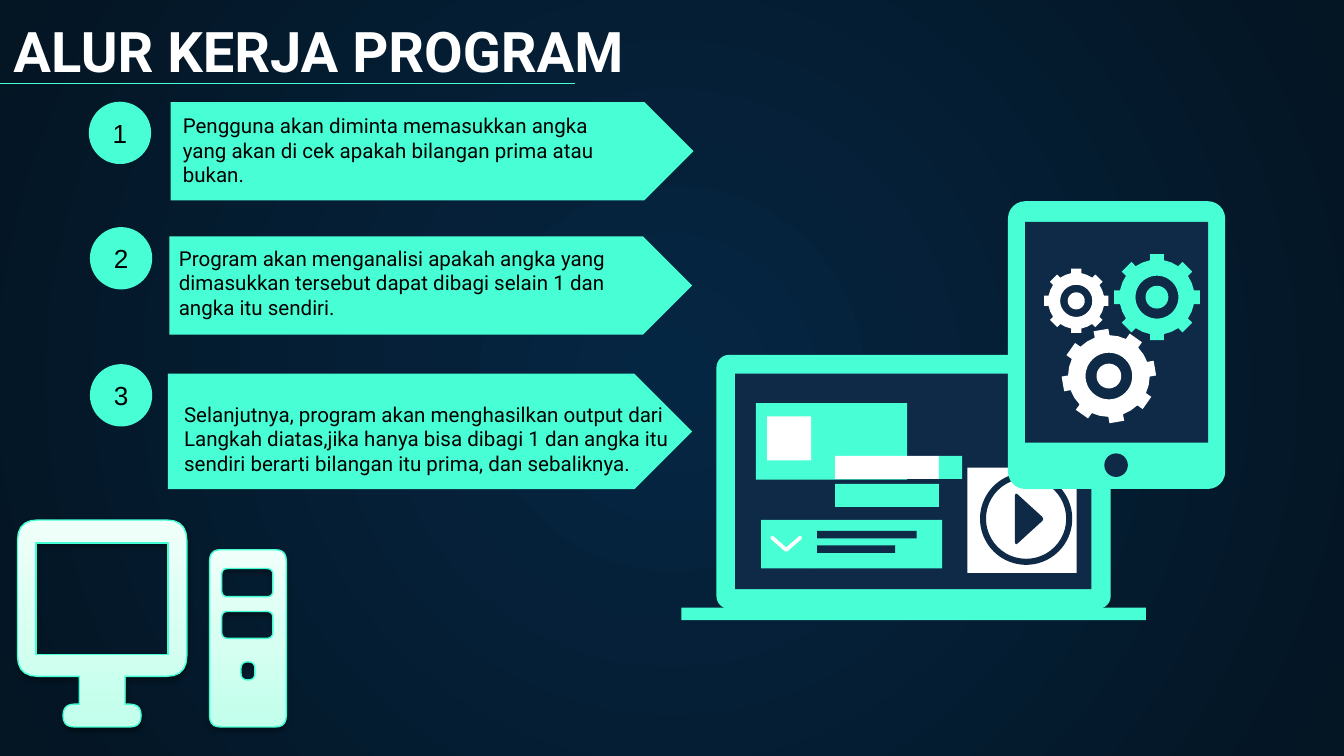
from dataclasses import dataclass
from math import cos, pi, sin

from lxml import etree
from pptx import Presentation
from pptx.dml.color import RGBColor
from pptx.enum.shapes import MSO_CONNECTOR, MSO_SHAPE
from pptx.enum.text import MSO_ANCHOR, MSO_AUTO_SIZE, PP_ALIGN
from pptx.oxml.ns import qn
from pptx.util import Pt

ARROW, DISC, RECT = MSO_SHAPE.PENTAGON, MSO_SHAPE.OVAL, MSO_SHAPE.RECTANGLE
ROUND, RING = MSO_SHAPE.ROUNDED_RECTANGLE, MSO_SHAPE.DONUT
STRAIGHT = MSO_CONNECTOR.STRAIGHT
LOW, MID = MSO_ANCHOR.BOTTOM, MSO_ANCHOR.MIDDLE
FIXED = MSO_AUTO_SIZE.NONE
LEFT, CENTER = PP_ALIGN.LEFT, PP_ALIGN.CENTER


@dataclass
class Theme:
    mint: str = "48FFD5"
    navy: str = "0E2A47"
    white: str = "FFFFFF"
    black: str = "000000"
    edge: str = "42FED3"
    glow: tuple = ("052643", "041523")
    shine: tuple = ("C1FFEB", "EFFFF9")
    font: str = "Roboto"
    digit: str = "Arial"
    head: int = 30
    body: int = 11
    count: int = 14


def color(code):
    return RGBColor.from_string(code)


def blend(fill, codes):
    fill.gradient()
    for stop, code in zip(fill.gradient_stops, codes):
        stop.color.rgb = color(code)


def write(shape, text, font, size, tint, bold=False, align=LEFT, anchor=LOW):
    frame = shape.text_frame
    frame.word_wrap, frame.auto_size = True, FIXED
    frame.vertical_anchor = anchor
    frame.margin_left = frame.margin_right = Pt(7.2)
    frame.margin_top = frame.margin_bottom = Pt(7.2)
    para = frame.paragraphs[0]
    para.alignment, para.space_before = align, Pt(0)
    props = para._p.get_or_add_pPr()
    props.set("marL", "0")
    props.set("indent", "0")
    etree.SubElement(props, qn("a:buNone"))
    run = para.add_run()
    run.text = text
    run.font.name, run.font.size, run.font.bold = font, Pt(size), bold
    run.font.color.rgb = color(tint)


def curve(corners):
    points = []
    for i, (x, y, r) in enumerate(corners):
        if not r:
            points.append((x, y))
            continue
        ends = []
        for px, py, _ in (corners[i - 1], corners[(i + 1) % len(corners)]):
            span = abs(px - x) + abs(py - y)
            ends.append((x + (px - x) * r / span, y + (py - y) * r / span))
        (ax, ay), (bx, by) = ends
        for t in (0, 0.2, 0.4, 0.6, 0.8, 1):
            u = 1 - t
            points.append((u * u * ax + 2 * u * t * x + t * t * bx,
                           u * u * ay + 2 * u * t * y + t * t * by))
    return points


def panel(left, top, right, base, r=0):
    return curve([(left, top, r), (right, top, r), (right, base, r), (left, base, r)])


def circle(x, y, r, steps=48):
    return [(x + r * cos(2 * pi * k / steps), y + r * sin(2 * pi * k / steps))
            for k in range(steps)]


def cog(x, y, r, tilt=0):
    points = []
    tooth = ((-0.16, 0.86), (-0.16, 1), (0.16, 1), (0.16, 0.86), (0.335, 0.808))
    for k in range(8):
        a = k * pi / 4 + tilt
        for side, out in tooth:
            points.append((x + r * (out * sin(a) + side * cos(a)),
                           y + r * (side * sin(a) - out * cos(a))))
    return points


class Deck:
    """Holds the theme and the current slide, and draws each kind of element."""

    def __init__(self, theme):
        self.theme = theme
        self.show = Presentation()
        self.show.slide_width, self.show.slide_height = Pt(720), Pt(405)
        self.slide = self.show.slides.add_slide(self.show.slide_layouts[4])

    def back(self):
        blend(self.slide.background.fill, self.theme.glow)
        grad = self.slide._element.find(".//" + qn("a:gradFill"))
        grad.remove(grad.find(qn("a:lin")))
        way = etree.SubElement(grad, qn("a:path"), path="circle")
        etree.SubElement(way, qn("a:fillToRect"), l="50000", t="50000", r="50000", b="50000")

    def holder(self, index, box, text, **style):
        item = self.slide.placeholders[index]
        item.left, item.top, item.width, item.height = map(Pt, box)
        write(item, text, self.theme.font, **style)
        self.slide.shapes._spTree.append(item._element)

    def shape(self, kind, box, tint, adjust=None):
        item = self.slide.shapes.add_shape(kind, *map(Pt, box))
        if adjust is not None:
            item.adjustments[0] = adjust
        item.shadow.inherit = False
        item.fill.solid()
        item.fill.fore_color.rgb = color(tint)
        item.line.fill.background()
        return item

    def free(self, *loops, tint=None, closed=True):
        pen = None
        for loop in loops:
            spots = [(Pt(x), Pt(y)) for x, y in loop]
            if pen is None:
                pen = self.slide.shapes.build_freeform(*spots[0])
            else:
                pen.move_to(*spots[0])
            pen.add_line_segments(spots[1:], close=closed)
        item = pen.convert_to_shape()
        item.shadow.inherit = False
        item.line.fill.background()
        if tint:
            item.fill.solid()
            item.fill.fore_color.rgb = color(tint)
        return item

    def stroke(self, item, tint, width):
        item.line.color.rgb = color(tint)
        item.line.width = Pt(width)

    def rule(self, start, end):
        item = self.slide.shapes.add_connector(STRAIGHT, *map(Pt, start + end))
        self.stroke(item, self.theme.mint, 0.75)
        etree.SubElement(item._element.spPr, qn("a:effectLst"))

    def gloss(self, *loops):
        item = self.free(*loops)
        blend(item.fill, self.theme.shine)
        item.fill.gradient_angle = 90
        self.stroke(item, self.theme.edge, 0.75)
        effect = item._element.spPr.find(qn("a:effectLst"))
        shade = etree.SubElement(effect, qn("a:outerShdw"), blurRad=str(Pt(3.1)),
                                 dist=str(Pt(1.6)), dir="5400000", rotWithShape="0")
        tone = etree.SubElement(shade, qn("a:srgbClr"), val=self.theme.black)
        etree.SubElement(tone, qn("a:alpha"), val="38000")

    def check(self, points):
        item = self.free(points, closed=False)
        item.fill.background()
        self.stroke(item, self.theme.white, 2)
        item.line._get_or_add_ln().set("cap", "rnd")

    def gear(self, x, y, r, tint, tilt=0):
        self.free(cog(x, y, r, tilt), circle(x, y, r * 0.5), circle(x, y, r * 0.265), tint=tint)


STEPS = [
    ("Pengguna akan diminta memasukkan angka yang akan di cek apakah bilangan prima atau bukan.",
     (91.4, 54.7, 280.1, 52.6), (90.7, 41.8, 244.8, 65.5), (47.6, 54.5)),
    ("Program akan menganalisi apakah angka yang dimasukkan tersebut dapat dibagi selain 1 dan "
     "angka itu sendiri.",
     (90.7, 126.7, 280.1, 52.6), (88.6, 131, 271.4, 47.5), (48.2, 121.7)),
    ("Selanjutnya, program akan menghasilkan output dari Langkah diatas,jika hanya bisa dibagi 1 "
     "dan angka itu sendiri berarti bilangan itu prima, dan sebaliknya.",
     (90, 200.2, 280.8, 61.9), (91.4, 190.8, 277.2, 71.3), (48.2, 195.1)),
]


def main():
    look = Theme()
    mint, navy, white = look.mint, look.navy, look.white
    deck = Deck(look)
    deck.back()
    deck.holder(0, (0, 4.3, 617, 47.5), "ALUR KERJA PROGRAM", size=look.head, tint=white, bold=True)
    deck.rule((0, 44.6), (308.2, 44.6))
    for number, (text, arrow, box, spot) in enumerate(STEPS, 1):
        deck.shape(ARROW, arrow, mint, 0.5)
        deck.holder(number, box, text, size=look.body, tint=look.black)
        badge = deck.shape(DISC, spot + (33.4, 33.4), mint)
        write(badge, str(number), look.digit, look.count, look.black, align=CENTER, anchor=MID)
    spare = deck.slide.placeholders[4]._element
    spare.getparent().remove(spare)

    screen = [(9.4, 278.6, 11), (100.1, 278.6, 11), (100.1, 362.4, 11), (67, 362.4, 0),
              (67, 377.3, 0), (75.6, 377.3, 6), (75.6, 389.5, 6), (33.8, 389.5, 6),
              (33.8, 377.3, 6), (42.5, 377.3, 0), (42.5, 362.4, 0), (9.4, 362.4, 11)]
    deck.gloss(curve(screen), panel(19.4, 290.9, 90, 350.6))
    deck.gloss(panel(112.3, 294.5, 153.4, 389.5, 6), panel(118.8, 304.6, 146.2, 319.7, 3.3),
               panel(118.8, 327.6, 146.2, 342, 3.3), panel(129.1, 354.6, 136.6, 364.3, 3.7))

    deck.shape(ROUND, (383.8, 190.1, 211.2, 136.1), mint, 0.05)
    for box, tint in [
        ((393.8, 200.2, 191, 115.4), navy), ((365, 325.6, 249, 6.7), mint),
        ((405, 216, 81, 41), mint), ((411, 223, 23.6, 23.6), white),
        ((433.4, 278.6, 71.3, 25.9), mint), ((437.8, 284.4, 53.3, 4), navy),
        ((437.8, 292.2, 41.8, 4), navy), ((407.8, 278.6, 25.6, 25.9), mint),
        ((447.4, 259.2, 55.6, 12.4), mint), ((447.4, 244.2, 55.6, 12.4), white),
        ((503, 244.2, 12.4, 12.4), mint), ((518.2, 250.6, 58.6, 56.4), white),
    ]:
        deck.shape(RECT, box, tint)
    deck.check([(413.6, 288), (421.2, 294.6), (428.8, 288)])
    deck.shape(RING, (525, 253.2, 49.4, 49.4), navy, 0.065)
    deck.free(curve([(543.7, 263.5, 3), (559.6, 278, 3), (543.7, 292.5, 3)]), tint=navy)

    deck.shape(ROUND, (540, 107.8, 116.4, 154.2), mint, 0.08)
    deck.shape(RECT, (549.2, 118.8, 98, 118.4), navy)
    deck.shape(DISC, (591.6, 242.9, 12.6, 12.6), navy)
    deck.gear(619.8, 159.2, 23, mint)
    deck.gear(576.6, 161.2, 17.2, white)
    deck.gear(594.1, 201.5, 25, white, -0.17)
    deck.show.save("out.pptx")


if __name__ == "__main__":
    main()
